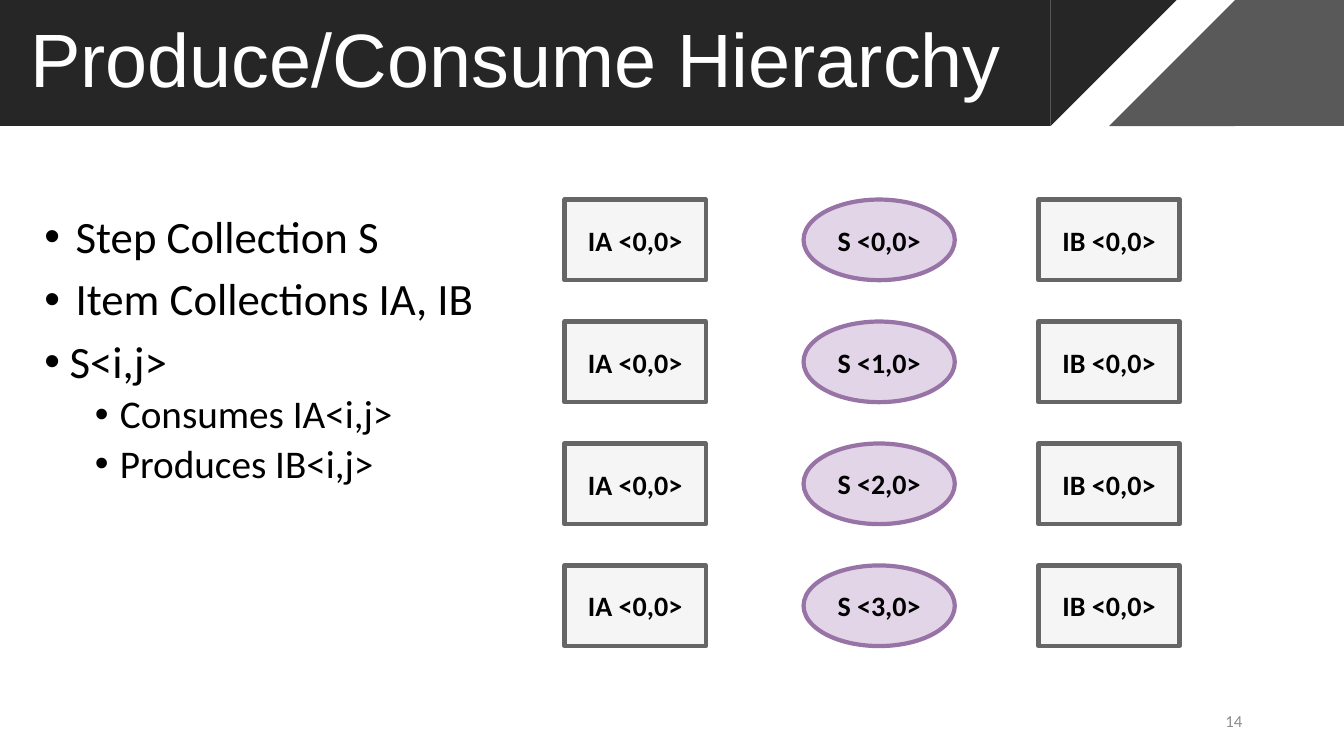
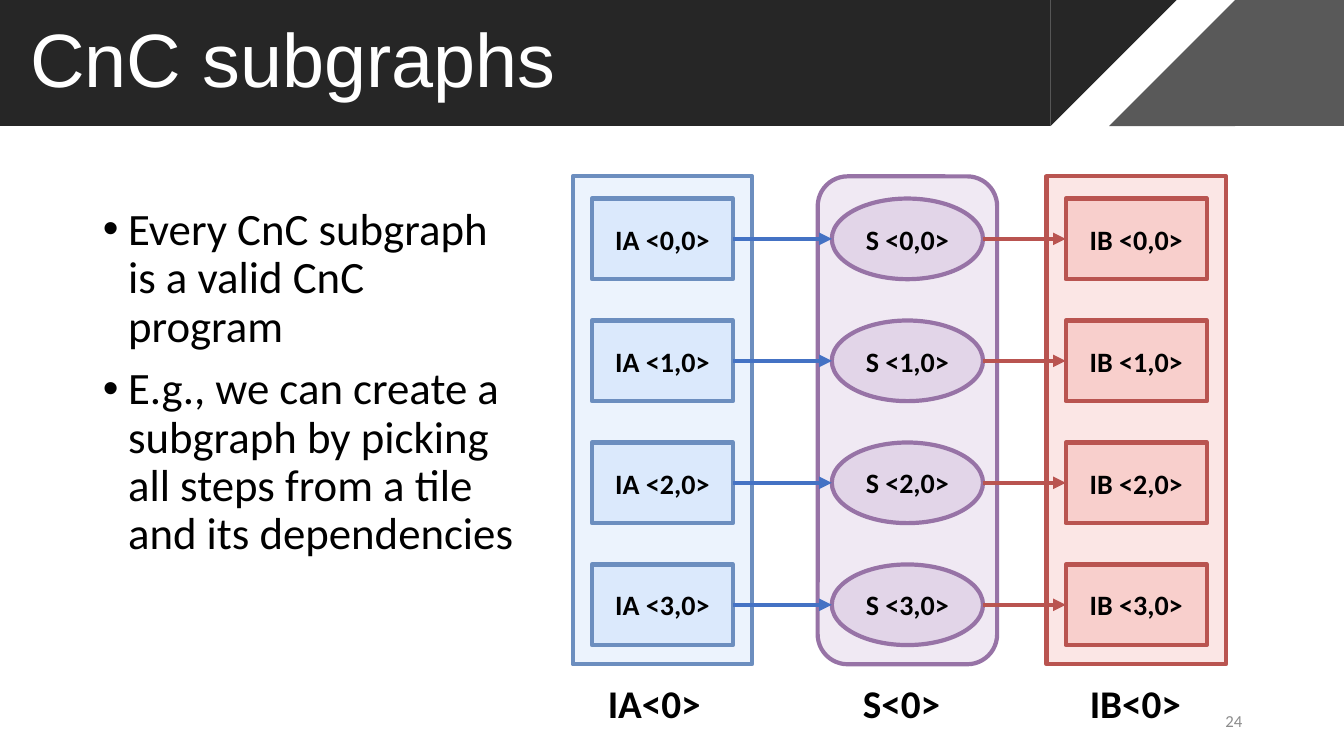
from dataclasses import dataclass

from lxml import etree
from pptx import Presentation
from pptx.dml.color import RGBColor
from pptx.enum.shapes import MSO_CONNECTOR, MSO_SHAPE
from pptx.enum.text import MSO_ANCHOR, MSO_AUTO_SIZE, PP_ALIGN
from pptx.oxml.ns import qn
from pptx.util import Inches, Pt

STRAIGHT = MSO_CONNECTOR.STRAIGHT
RECTANGLE = MSO_SHAPE.RECTANGLE
ROUNDED = MSO_SHAPE.ROUNDED_RECTANGLE
ELLIPSE = MSO_SHAPE.OVAL
TRIANGLE = MSO_SHAPE.ISOSCELES_TRIANGLE
TOP, MIDDLE = MSO_ANCHOR.TOP, MSO_ANCHOR.MIDDLE
NO_FIT = MSO_AUTO_SIZE.NONE
LEFT, CENTER, RIGHT = PP_ALIGN.LEFT, PP_ALIGN.CENTER, PP_ALIGN.RIGHT

WHITE = RGBColor(0xFF, 0xFF, 0xFF)
BLACK = RGBColor(0x00, 0x00, 0x00)
DARK_BAND = RGBColor(0x26, 0x26, 0x26)
GRAY_BAND = RGBColor(0x59, 0x59, 0x59)
NUMBER_GRAY = RGBColor(0x8C, 0x8C, 0x8C)
ARROW_BLUE = RGBColor(0x44, 0x72, 0xC4)
RED_LINE = RGBColor(0xB9, 0x54, 0x50)
GRAY = (RGBColor(0xF5, 0xF5, 0xF5), RGBColor(0x66, 0x66, 0x66))
PURPLE = (RGBColor(0xE2, 0xD5, 0xE8), RGBColor(0x97, 0x73, 0xA6))
BLUE = (RGBColor(0xDB, 0xE9, 0xFC), RGBColor(0x6C, 0x8E, 0xBF))
RED = (RGBColor(0xF8, 0xCF, 0xCC), RED_LINE)

TITLE_FONT, BODY_FONT = "Arial", "Calibri"
SLIDE_WIDTH, SLIDE_HEIGHT = 13.33, 7.5
BAND_HEIGHT = SLIDE_HEIGHT / 6
ROWS, ROW_STEP = 4, 1.21
NODE_HEIGHT, BOX_WIDTH, OVAL_WIDTH = 0.8, 1.4, 1.5
PANEL_WIDTH, PANEL_TOP = 1.78, 1.75
PANEL_HEIGHT = ROWS * ROW_STEP
LABEL_TOP, LABEL_HEIGHT = 6.69, 0.57


@dataclass
class Column:
    """A column of nodes, named after its collection."""

    name: str
    center: float
    colors: tuple
    is_step: bool = False

    @property
    def width(self):
        """Return the width of one node."""
        return OVAL_WIDTH if self.is_step else BOX_WIDTH


def write_text(paragraph, text, size=20, color=BLACK, font=BODY_FONT,
               bold=False, align=LEFT):
    """Write one formatted run into a paragraph."""
    paragraph.alignment = align
    run = paragraph.add_run()
    run.text = text
    run.font.name = font
    run.font.size = Pt(size)
    run.font.bold = bold
    run.font.color.rgb = color


def place(shape, left, top, width, height):
    """Move and size a shape in inches."""
    shape.left, shape.top = Inches(left), Inches(top)
    shape.width, shape.height = Inches(width), Inches(height)


def add_figure(slide, kind, box, fill, line=None, alpha=None):
    """Add a flat preset shape."""
    shape = slide.shapes.add_shape(kind, *map(Inches, box))
    shape.shadow.inherit = False
    shape.fill.solid()
    shape.fill.fore_color.rgb = fill
    if line is None:
        shape.line.fill.background()
    else:
        shape.line.color.rgb = line
        shape.line.width = Pt(3)
    if alpha is not None:
        color = shape.element.spPr.find(qn("a:solidFill"))[0]
        etree.SubElement(color, qn("a:alpha"), val=str(alpha * 1000))
    return shape


def add_label(slide, text, box, anchor=TOP, wrap=True, **text_format):
    """Add a text box with one line of text."""
    frame = slide.shapes.add_textbox(*map(Inches, box)).text_frame
    frame.word_wrap = wrap
    frame.vertical_anchor = anchor
    write_text(frame.paragraphs[0], text, **text_format)


def add_bands(slide, layout):
    """Build the header bands and hand them to the shared layout."""
    height = BAND_HEIGHT
    dark_end, gray_start = 10.42, 12.25
    bands = [
        (RECTANGLE, 0, dark_end, DARK_BAND, 0),
        (RECTANGLE, gray_start, SLIDE_WIDTH - gray_start, GRAY_BAND, 0),
        (TRIANGLE, dark_end, height, DARK_BAND, 180),
        (TRIANGLE, gray_start - height, height, GRAY_BAND, 0),
    ]
    for index, (kind, left, width, color, rotation) in enumerate(bands):
        band = add_figure(slide, kind, (left, 0, width, height), color)
        band.rotation = rotation
        if kind == TRIANGLE:
            band.adjustments[0] = 1
        band.element.nvSpPr.cNvPr.set("id", str(100 + index))
        layout.shapes.element.insert(2 + index, band.element)


def prepare_layout(layout):
    """Set the title position that all slides share."""
    title = layout.placeholders[0]
    place(title, 0.2, 0, 10.8, BAND_HEIGHT)
    title.text_frame.vertical_anchor = MIDDLE


def add_bullet(paragraph, text, level=0, indent=0.25):
    """Write one bulleted paragraph with a hanging indent."""
    paragraph.level = level
    paragraph.line_spacing = 0.9
    paragraph.space_before = Pt(5 if level else 10)
    write_text(paragraph, text, size=28 if level else 32)
    properties = paragraph._p.get_or_add_pPr()
    properties.set("marL", str(Inches(indent + level * 0.5)))
    properties.set("indent", str(-Inches(indent)))
    etree.SubElement(properties, qn("a:buFont"), typeface=TITLE_FONT)
    etree.SubElement(properties, qn("a:buChar"), char="•")


def fill_slide(slide, title, number, body_box, bullets):
    """Write the title, the bullets and the slide number."""
    frame = slide.shapes.title.text_frame
    frame.auto_size = NO_FIT
    frame.paragraphs[0].line_spacing = 0.9
    write_text(frame.paragraphs[0], title, size=54, color=WHITE, font=TITLE_FONT)
    body = slide.placeholders[1]
    place(body, *body_box)
    frame = body.text_frame
    frame.auto_size = NO_FIT
    for index, bullet in enumerate(bullets):
        paragraph = frame.add_paragraph() if index else frame.paragraphs[0]
        add_bullet(paragraph, *bullet)
    add_label(slide, number, (9.42, 6.95, 3, 0.4), anchor=MIDDLE,
              size=12, color=NUMBER_GRAY, align=RIGHT)


def add_nodes(slide, column, top, indices):
    """Add a column of nodes, one for each index, and return them."""
    nodes = []
    kind = ELLIPSE if column.is_step else RECTANGLE
    for row, index in enumerate(indices):
        box = (column.center - column.width / 2, top + row * ROW_STEP,
               column.width, NODE_HEIGHT)
        node = add_figure(slide, kind, box, *column.colors)
        frame = node.text_frame
        frame.word_wrap = False
        frame.vertical_anchor = MIDDLE
        write_text(frame.paragraphs[0], f"{column.name} <{index},0>",
                   bold=True, align=CENTER)
        nodes.append(node)
    return nodes


def add_panel(slide, column):
    """Add the translucent panel behind a column."""
    kind = ROUNDED if column.is_step else RECTANGLE
    box = (column.center - PANEL_WIDTH / 2, PANEL_TOP, PANEL_WIDTH, PANEL_HEIGHT)
    add_figure(slide, kind, box, *column.colors, alpha=50)


def add_arrow(slide, source, target, color):
    """Add an arrow from one node to the next, joined to rectangles."""
    middle = source.top + source.height // 2
    arrow = slide.shapes.add_connector(
        STRAIGHT, source.left + source.width, middle, target.left, middle)
    if source.auto_shape_type == RECTANGLE:
        arrow.begin_connect(source, 3)
    if target.auto_shape_type == RECTANGLE:
        arrow.end_connect(target, 1)
    arrow.line.color.rgb = color
    arrow.line.width = Pt(3)
    line = arrow.line._get_or_add_ln()
    etree.SubElement(line, qn("a:tailEnd"), type="triangle")
    etree.SubElement(arrow.element.spPr, qn("a:effectLst"))


def build_hierarchy(slide):
    """Build the slide with the item and step collections."""
    fill_slide(slide, "Produce/Consume Hierarchy", "14", (0.34, 2.08, 4.55, 4.76), [
        ("Step Collection S", 0, 0.31),
        ("Item Collections IA, IB", 0, 0.31),
        ("S<i,j>",),
        ("Consumes IA<i,j>", 1),
        ("Produces IB<i,j>", 1),
    ])
    columns = [Column("IA", 6.3, GRAY), Column("S", 8.72, PURPLE, True),
               Column("IB", 11, GRAY)]
    for column in columns:
        indices = range(ROWS) if column.is_step else [0] * ROWS
        add_nodes(slide, column, 1.98, indices)


def build_subgraphs(slide):
    """Build the slide with panels and dependency arrows."""
    fill_slide(slide, "CnC subgraphs", "24", (0.92, 2, 4.31, 4.76), [
        ("Every CnC subgraph is a valid CnC program",),
        ("E.g., we can create a subgraph by picking all steps from a tile "
         "and its dependencies",),
    ])
    columns = [Column("IA", 6.57, BLUE), Column("S", 9, PURPLE, True),
               Column("IB", 11.27, RED)]
    for column in columns:
        add_panel(slide, column)
    inputs, steps, outputs = [
        add_nodes(slide, column, 1.97, range(ROWS)) for column in columns]
    for source, step, target in zip(inputs, steps, outputs):
        add_arrow(slide, source, step, ARROW_BLUE)
        add_arrow(slide, step, target, RED_LINE)
    for column, left, width in zip(columns, (5.93, 8.46, 10.71), (1.14, 0.98, 1.12)):
        add_label(slide, f"{column.name}<0>", (left, LABEL_TOP, width, LABEL_HEIGHT),
                  wrap=False, size=28, bold=True)


def main():
    """Build and save the presentation."""
    presentation = Presentation()
    presentation.slide_width = Inches(SLIDE_WIDTH)
    presentation.slide_height = Inches(SLIDE_HEIGHT)
    layout = presentation.slide_layouts[1]
    prepare_layout(layout)
    builders = (build_hierarchy, build_subgraphs)
    slides = [presentation.slides.add_slide(layout) for _ in builders]
    add_bands(slides[0], layout)
    for build, slide in zip(builders, slides):
        build(slide)
    presentation.save("out.pptx")


if __name__ == "__main__":
    main()
